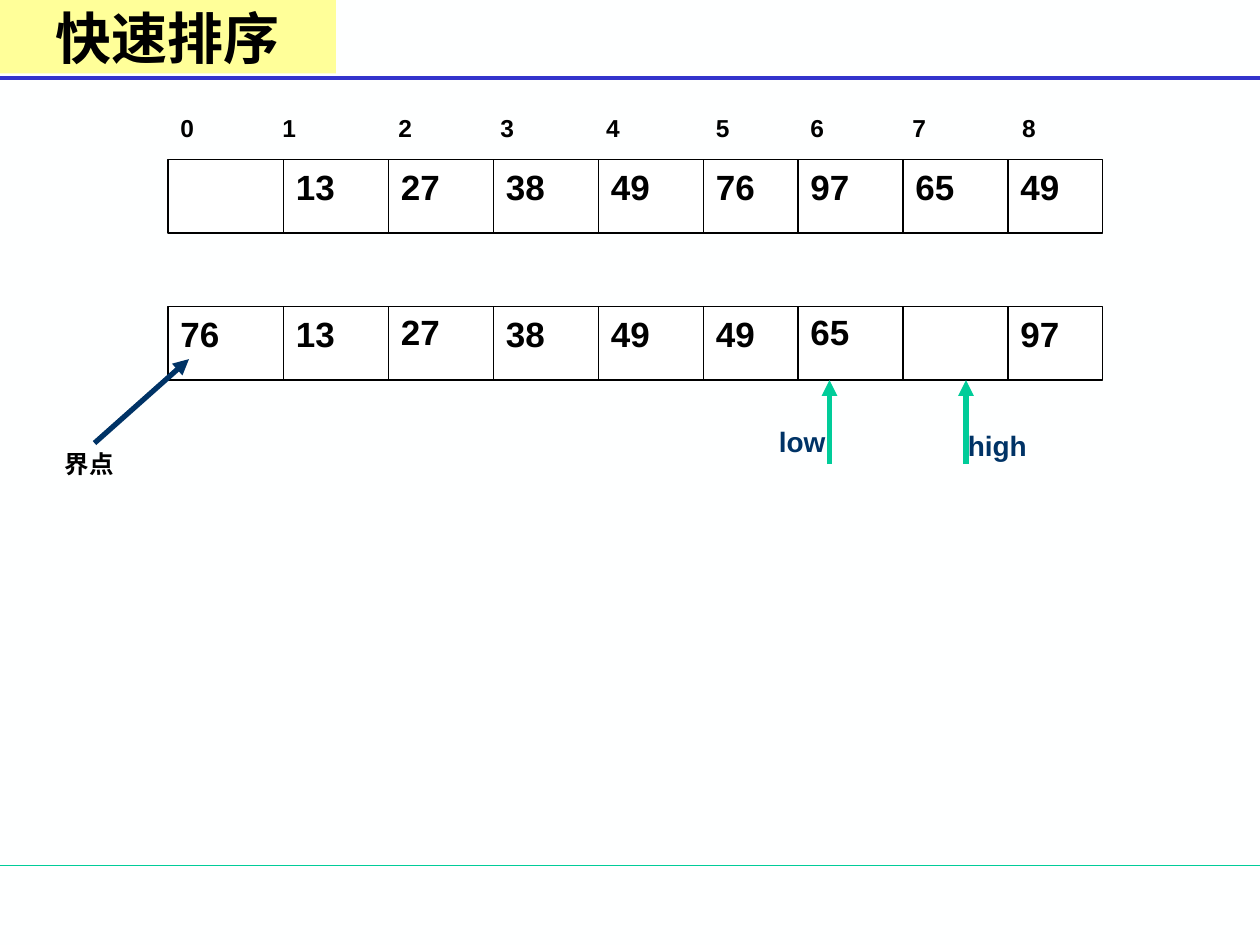
"""Build the quick sort slide: two arrays with pivot, low and high pointers."""
from lxml import etree
from pptx import Presentation, util as u
from pptx.dml.color import RGBColor
from pptx.enum import shapes, text
from pptx.oxml import ns

rgb = RGBColor.from_string
deck = Presentation()
deck.slide_width, deck.slide_height = u.Inches(10), u.Inches(7.5)
unit = deck.slide_width // 120
slide = deck.slides.add_slide(deck.slide_layouts[6])
slide.background.fill.solid()
slide.background.fill.fore_color.rgb = rgb("FEFFFF")


def rule(x1, y1, x2, y2, color, weight, arrow=False):
    ends = [round(v * unit) for v in (x1, y1, x2, y2)]
    line = slide.shapes.add_connector(shapes.MSO_CONNECTOR.STRAIGHT, *ends)
    line.line.color.rgb = rgb(color)
    line.line.width = u.Pt(weight)
    if arrow:
        etree.SubElement(line.line._get_or_add_ln(), ns.qn("a:tailEnd"), type="triangle")
    etree.SubElement(line._element.spPr, ns.qn("a:effectLst"))


def label(words, x, y, width, height, size, color="000000", stops=()):
    place = [round(v * unit) for v in (x, y, width, height)]
    frame = slide.shapes.add_textbox(*place).text_frame
    frame.word_wrap = True
    frame.auto_size = text.MSO_AUTO_SIZE.SHAPE_TO_FIT_TEXT
    line = frame.paragraphs[0]
    line.text = words
    if stops:
        tabs = etree.SubElement(line._p.get_or_add_pPr(), ns.qn("a:tabLst"))
        for stop in stops:
            etree.SubElement(tabs, ns.qn("a:tab"), pos=str(u.Inches(stop)), algn="l")
    line.font.name, line.font.size, line.font.bold = "Arial", u.Pt(size), True
    line.font.color.rgb = rgb(color)


rule(0, 82.4, 120, 82.4, "00CC99", 0.75)
rule(0, 7.4, 120, 7.4, "3333CC", 2.25)

edges = [16, 27, 37, 47, 57, 67, 76, 86, 96, 105]
cell_height = 7
arrays = [
    (15.2, ["", "13", "27", "38", "49", "76", "97", "65", "49"], ()),
    (29.2, ["76", "13", "27", "38", "49", "49", "65", "", "97"], (2, 6)),
]
for top, values, raised in arrays:
    place = [round(v * unit) for v in (edges[0], top, edges[-1] - edges[0], cell_height)]
    row = slide.shapes.add_shape(shapes.MSO_SHAPE.RECTANGLE, *place)
    row.shadow.inherit = False
    row.fill.solid()
    row.fill.fore_color.rgb = rgb("FFFFFF")
    row.line.color.rgb = rgb("000000")
    row.line.width = u.Pt(0.75)
    for edge in edges[1:-1]:
        rule(edge, top, edge, top + cell_height, "000000", 0.75)
    for index, value in enumerate(values):
        if value:
            label(value, edges[index], top - 0.2 * (index in raised), 8, 5.25, 20)

label("\t".join("012345678"), 16, 10.2, 89, 4.04, 14,
      stops=[0.81, 1.73, 2.54, 3.38, 4.25, 5, 5.81, 6.68])

array_bottom = 36.2
for name, arrow_x, name_x, name_y in [("high", 92, 91, 40.2), ("low", 79, 73, 39.8)]:
    rule(arrow_x, array_bottom + 8, arrow_x, array_bottom, "00CC99", 3, arrow=True)
    label(name, name_x, name_y, 11, 4.4, 16, "003366")

label("界点", 5, 42.2, 10, 4.04, 14)
rule(9, 42.2, 18, 34.2, "003366", 3, arrow=True)

title = slide.shapes.add_shape(shapes.MSO_SHAPE.RECTANGLE, 0, 0, 32 * unit, 7 * unit)
title.shadow.inherit = False
title.fill.solid()
title.fill.fore_color.rgb = rgb("FFFF99")
title.line.fill.background()
title.text_frame.vertical_anchor = text.MSO_ANCHOR.MIDDLE
heading = title.text_frame.paragraphs[0]
heading.text = "快速排序"
heading.alignment = text.PP_ALIGN.CENTER
heading.font.name, heading.font.size, heading.font.bold = "Times New Roman", u.Pt(32), True
heading.font.color.rgb = rgb("000000")

deck.save("out.pptx")
